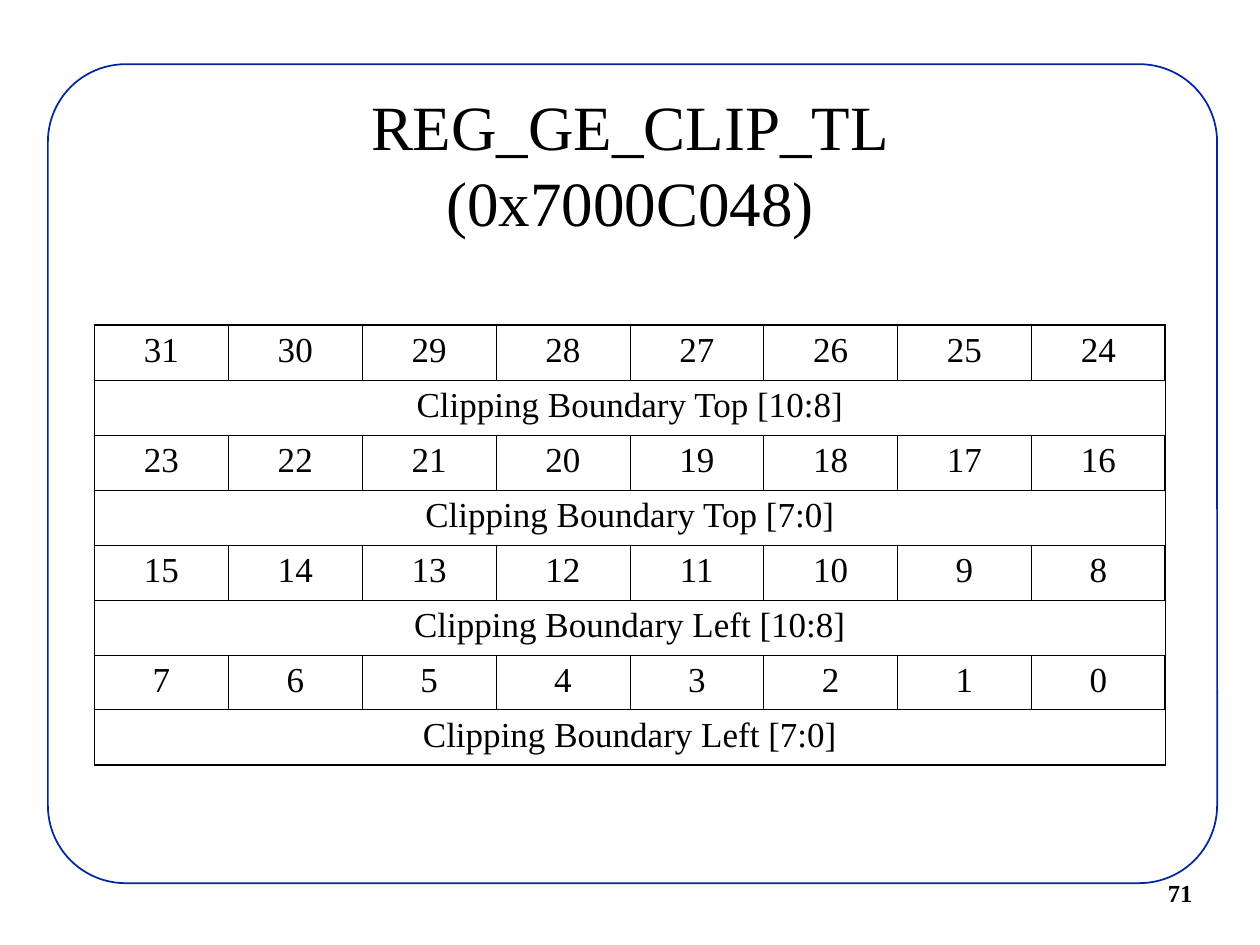
"""Build the register layout slide for REG_GE_CLIP_TL."""
from lxml import etree
from pptx import Presentation
from pptx.dml.color import RGBColor
from pptx.enum.shapes import MSO_SHAPE
from pptx.enum.text import MSO_ANCHOR, MSO_AUTO_SIZE, PP_ALIGN
from pptx.oxml.ns import qn
from pptx.util import Inches, Pt

BLACK = RGBColor(0x00, 0x00, 0x00)
WHITE = RGBColor(0xFF, 0xFF, 0xFF)
NAVY = RGBColor(0x00, 0x27, 0x9F)
ROUND_RECT = MSO_SHAPE.ROUNDED_RECTANGLE
LEFT, CENTER = PP_ALIGN.LEFT, PP_ALIGN.CENTER
MIDDLE = MSO_ANCHOR.MIDDLE
NO_AUTOFIT = MSO_AUTO_SIZE.NONE

BITS = 8
THIN, THICK = Pt(0.45), Pt(1.08)
FIELDS = [
    "Clipping Boundary Top [10:8]",
    "Clipping Boundary Top [7:0]",
    "Clipping Boundary Left [10:8]",
    "Clipping Boundary Left [7:0]",
]


class SlideBuilder:
    def __init__(self, prs, font="Times New Roman"):
        self.s = prs.slides.add_slide(prs.slide_layouts[5])
        self.font = font

    def format(self, p, size, align=LEFT, bold=False):
        p.alignment = align
        p.font.name = self.font
        p.font.size = Pt(size)
        p.font.bold = bold
        p.font.color.rgb = BLACK

    def title(self, text, x, y, w, h):
        sp = self.s.shapes.title
        sp.left, sp.top, sp.width, sp.height = map(Inches, (x, y, w, h))
        tf = sp.text_frame
        tf.text = text
        tf.word_wrap = True
        tf.auto_size = NO_AUTOFIT
        tf.vertical_anchor = MIDDLE
        self.format(tf.paragraphs[0], 36, CENTER)

    def frame(self, x, y, w, h):
        sp = self.s.shapes.add_shape(ROUND_RECT, *map(Inches, (x, y, w, h)))
        sp.adjustments[0] = 0.095
        sp.shadow.inherit = False
        sp.fill.solid()
        sp.fill.fore_color.rgb = WHITE
        sp.line.color.rgb = NAVY
        sp.line.width = Pt(1)
        self.s.shapes.title.element.addprevious(sp.element)

    def text(self, text, x, y, w, h):
        tf = self.s.shapes.add_textbox(*map(Inches, (x, y, w, h))).text_frame
        tf.word_wrap = True
        tf.text = text
        self.format(tf.paragraphs[0], 14, bold=True)

    def border(self, cell, side, width):
        ln = etree.SubElement(cell._tc.get_or_add_tcPr(), qn(f"a:ln{side}"), w=str(width))
        fill = etree.SubElement(ln, qn("a:solidFill"))
        etree.SubElement(fill, qn("a:srgbClr"), val=str(BLACK))

    def register_table(self, fields, x, y, w, h):
        rows = 2 * len(fields)
        table = self.s.shapes.add_table(rows, BITS, *map(Inches, (x, y, w, h))).table
        table.first_row = table.horz_banding = False
        for row in range(rows):
            for col in range(BITS):
                cell = table.cell(row, col)
                outer = {"L": col == 0, "R": col == BITS - 1, "T": row == 0, "B": row == rows - 1}
                for side, is_outer in outer.items():
                    self.border(cell, side, THICK if is_outer else THIN)
                cell.fill.background()
        for i, field in enumerate(fields):
            top_bit = BITS * (len(fields) - i) - 1
            for col in range(BITS):
                self.cell_text(table.cell(2 * i, col), str(top_bit - col))
            cell = table.cell(2 * i + 1, 0)
            cell.merge(table.cell(2 * i + 1, BITS - 1))
            self.cell_text(cell, field)

    def cell_text(self, cell, text):
        cell.text = text
        self.format(cell.text_frame.paragraphs[0], 20, CENTER)


def main():
    prs = Presentation()
    prs.slide_width, prs.slide_height = Inches(10), Inches(7.5)
    slide = SlideBuilder(prs)
    slide.title("REG_GE_CLIP_TL\v(0x7000C048)", 0.75, 0.67, 8.5, 1.25)
    slide.frame(0.38, 0.51, 9.28, 6.5)
    slide.text("71", 9.17, 6.92, 0.8, 0.33)
    slide.register_table(FIELDS, 0.75, 2.58, 8.5, 3.49)
    prs.save("out.pptx")


if __name__ == "__main__":
    main()
